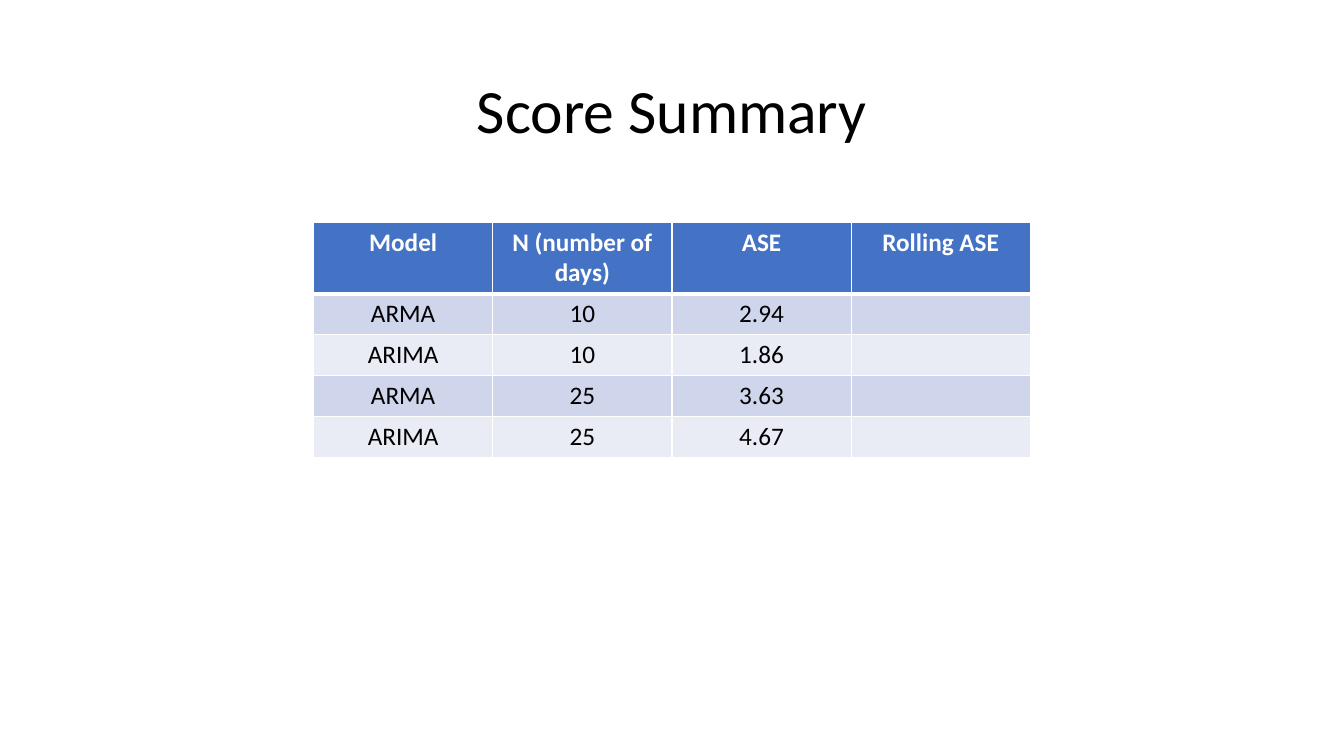
from dataclasses import dataclass

from lxml import etree
from pptx import Presentation
from pptx.dml.color import RGBColor
from pptx.enum.text import MSO_ANCHOR, PP_ALIGN
from pptx.oxml.ns import qn
from pptx.slide import Slide
from pptx.table import _Cell
from pptx.text.text import TextFrame
from pptx.util import Pt

CENTER = PP_ALIGN.CENTER
MIDDLE = MSO_ANCHOR.MIDDLE

BLACK = RGBColor(0x00, 0x00, 0x00)
WHITE = RGBColor(0xFF, 0xFF, 0xFF)
BLUE = RGBColor(0x44, 0x72, 0xC4)
DARK = RGBColor(0xCF, 0xD5, 0xEA)
LIGHT = RGBColor(0xE9, 0xEB, 0xF5)

FONT = "Calibri"
THIN, THICK = 1, 3
COL_W, ROW_H = Pt(128), Pt(29.2)


@dataclass(frozen=True)
class Style:
    fill: RGBColor
    ink: RGBColor = BLACK
    bold: bool = False
    top: int = THIN
    base: int = THIN


@dataclass(frozen=True)
class Score:
    model: str
    days: str
    ase: str
    rolling: str = ""

    def cells(self) -> tuple[str, ...]:
        return self.model, self.days, self.ase, self.rolling


HEAD = Style(BLUE, WHITE, bold=True, base=THICK)
FIRST = Style(DARK, top=THICK)
ODD, EVEN = Style(DARK), Style(LIGHT)

ROWS = (
    (Score("Model", "N (number of days)", "ASE", "Rolling ASE"), HEAD),
    (Score("ARMA", "10", "2.94"), FIRST),
    (Score("ARIMA", "10", "1.86"), EVEN),
    (Score("ARMA", "25", "3.63"), ODD),
    (Score("ARIMA", "25", "4.67"), EVEN),
)


def write(frame: TextFrame, text: str, size: int, ink: RGBColor, bold: bool = False) -> None:
    """Put one centred run into the first paragraph."""
    para = frame.paragraphs[0]
    para.alignment = CENTER
    run = para.add_run()
    run.text = text
    font = run.font
    font.name, font.size, font.bold = FONT, Pt(size), bold
    font.color.rgb = ink


def edge(cell: _Cell, style: Style) -> None:
    """Add white borders, which must come before the fill."""
    props = cell._tc.get_or_add_tcPr()
    sides = {"lnL": THIN, "lnR": THIN, "lnT": style.top, "lnB": style.base}
    for spot, (side, width) in enumerate(sides.items()):
        line = etree.Element(qn(f"a:{side}"), w=str(Pt(width)))
        fill = etree.SubElement(line, qn("a:solidFill"))
        etree.SubElement(fill, qn("a:srgbClr"), val=str(WHITE))
        props.insert(spot, line)


def add_title(slide: Slide, text: str) -> None:
    title = slide.shapes.title
    title.left, title.top = Pt(66), Pt(28.75)
    title.width, title.height = Pt(828), Pt(104.4)
    frame = title.text_frame
    frame.vertical_anchor = MIDDLE
    frame.word_wrap = True
    write(frame, text, 44, BLACK)
    frame.paragraphs[0].line_spacing = 0.9


def add_scores(slide: Slide) -> None:
    count = len(ROWS[0][0].cells())
    frame = slide.shapes.add_table(
        len(ROWS), count, Pt(224), Pt(158.6), COL_W * count, ROW_H * len(ROWS)
    )
    table = frame.table
    for row, (score, style) in enumerate(ROWS):
        for col, text in enumerate(score.cells()):
            cell = table.cell(row, col)
            cell.fill.solid()
            cell.fill.fore_color.rgb = style.fill
            edge(cell, style)
            if text:
                write(cell.text_frame, text, 18, style.ink, style.bold)


def main() -> None:
    deck = Presentation()
    deck.slide_width, deck.slide_height = Pt(960), Pt(540)
    slide = deck.slides.add_slide(deck.slide_layouts.get_by_name("Title Only"))
    add_title(slide, "Score Summary")
    add_scores(slide)
    deck.save("out.pptx")


if __name__ == "__main__":
    main()
